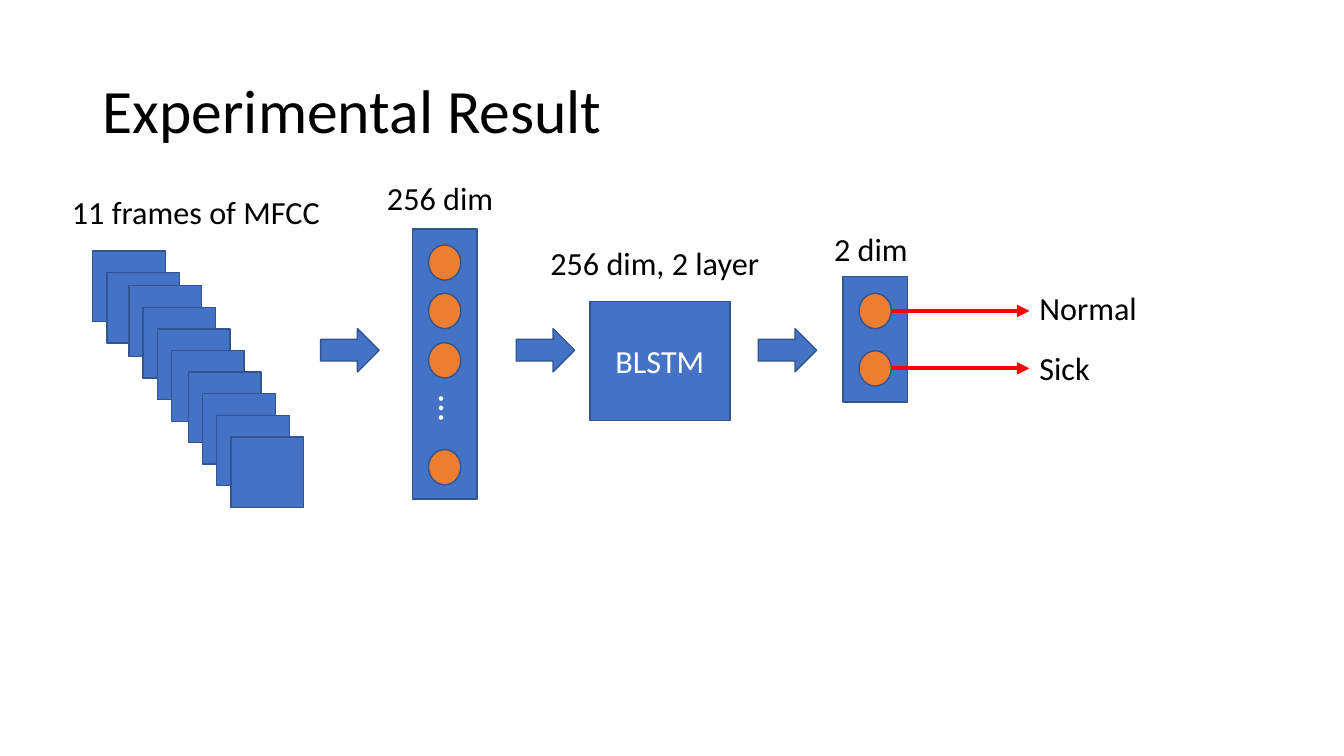
from collections import namedtuple
from dataclasses import dataclass
from itertools import accumulate

from lxml import etree
from pptx import Presentation
from pptx.dml.color import RGBColor
from pptx.enum.shapes import MSO_CONNECTOR, MSO_SHAPE
from pptx.enum.text import MSO_ANCHOR, MSO_AUTO_SIZE, PP_ALIGN
from pptx.oxml.ns import qn
from pptx.util import Inches, Pt

RECTANGLE, ELLIPSE, RIGHT_ARROW = MSO_SHAPE.RECTANGLE, MSO_SHAPE.OVAL, MSO_SHAPE.RIGHT_ARROW
STRAIGHT = MSO_CONNECTOR.STRAIGHT
MIDDLE, TOP = MSO_ANCHOR.MIDDLE, MSO_ANCHOR.TOP
LEFT, CENTER = PP_ALIGN.LEFT, PP_ALIGN.CENTER
FIT_TEXT, NO_FIT = MSO_AUTO_SIZE.SHAPE_TO_FIT_TEXT, MSO_AUTO_SIZE.NONE
TITLE_ONLY = 5


@dataclass(frozen=True)
class Theme:
    font: str = "Calibri"
    ink: RGBColor = RGBColor(0, 0, 0)
    paper: RGBColor = RGBColor(255, 255, 255)
    block: RGBColor = RGBColor(0x44, 0x72, 0xC4)
    outline: RGBColor = RGBColor(0x32, 0x54, 0x91)
    neuron: RGBColor = RGBColor(0xED, 0x7D, 0x31)
    signal: RGBColor = RGBColor(255, 0, 0)
    title: int = 44
    dots: int = 27
    label: int = 23
    outline_width: int = 1
    signal_width: int = 3


THEME = Theme()
Box = namedtuple("Box", "left top width height")
FRAME_COUNT = 10
FRAME_SIZE = (0.72, 0.7)
FRAME_STEP = (0.14, 0.215)
UNEVEN_STEPS = {2: (0.22, 0.13), 6: (0.17, 0.21)}
NEURON_SIZE = (0.32, 0.35)
ARROW_SIZE = (0.58, 0.43)
LABEL_HEIGHT = 0.49


def inches(box):
    return [Inches(value) for value in box]


def write(shape, text, size, color, align=LEFT, anchor=TOP, wrap=True, fit=NO_FIT):
    frame = shape.text_frame
    frame.text = text
    for name, value in {"word_wrap": wrap, "auto_size": fit, "vertical_anchor": anchor}.items():
        setattr(frame, name, value)
    paragraph = frame.paragraphs[0]
    paragraph.alignment = align
    font = paragraph.runs[0].font
    for name, value in {"name": THEME.font, "size": Pt(size)}.items():
        setattr(font, name, value)
    font.color.rgb = color
    return paragraph


def add_title(slide, text, box):
    title = slide.shapes.title
    for name, value in zip(Box._fields, inches(box)):
        setattr(title, name, value)
    write(title, text, THEME.title, THEME.ink, anchor=MIDDLE).line_spacing = 0.9


def add_label(slide, text, box, size=THEME.label, color=THEME.ink):
    label = slide.shapes.add_textbox(*inches(box))
    write(label, text, size, color, wrap=False, fit=FIT_TEXT)
    return label


def add_block(slide, kind, box, fill=THEME.block):
    block = slide.shapes.add_shape(kind, *inches(box))
    block.shadow.inherit = False
    block.fill.solid()
    block.fill.fore_color.rgb = fill
    block.line.color.rgb = THEME.outline
    block.line.width = Pt(THEME.outline_width)
    return block


def add_caption(slide, text, box, width, gap):
    """Centre a caption above the box; gap is the distance between their tops."""
    left = box.left + (box.width - width) / 2
    add_label(slide, text, Box(left, box.top - gap, width, LABEL_HEIGHT))


def add_frames(slide, box):
    """Stack the input frames from the box's top left corner towards its bottom right."""
    steps = [UNEVEN_STEPS.get(index, FRAME_STEP) for index in range(1, FRAME_COUNT)]
    lefts, tops = (accumulate(moves, initial=start)
                   for moves, start in zip(zip(*steps), (box.left, box.top)))
    for left, top in zip(lefts, tops):
        add_block(slide, RECTANGLE, Box(left, top, *FRAME_SIZE))
    add_caption(slide, "11 frames of MFCC", box, 2.69, 0.63)


def add_layer(slide, box, neuron_offsets):
    """Draw a layer with neurons at the given distances from its top; return their boxes."""
    add_block(slide, RECTANGLE, box)
    width, height = NEURON_SIZE
    left = box.left + (box.width - width) / 2
    neurons = [Box(left, box.top + offset, width, height) for offset in neuron_offsets]
    for neuron in neurons:
        add_block(slide, ELLIPSE, neuron, THEME.neuron)
    return neurons


def add_input_layer(slide, box):
    add_layer(slide, box, (0.16, 0.64, 1.13, 2.19))
    dots_box = Box(box.left + 0.18, box.top + 1.51, 0.46, 0.56)
    add_label(slide, "…", dots_box, THEME.dots, THEME.paper).rotation = 90
    add_caption(slide, "256 dim", box, 1.34, 0.55)


def add_recurrent_layer(slide, box):
    block = add_block(slide, RECTANGLE, box)
    write(block, "BLSTM", THEME.label, THEME.paper, CENTER, MIDDLE)
    add_caption(slide, "256 dim, 2 layer", box, 2.37, 0.63)


def add_signal(slide, start, end, height):
    signal = slide.shapes.add_connector(STRAIGHT, *inches((start, height, end, height)))
    signal.line.color.rgb = THEME.signal
    signal.line.width = Pt(THEME.signal_width)
    etree.SubElement(signal.line._get_or_add_ln(), qn("a:tailEnd"), type="triangle")
    etree.SubElement(signal._element.spPr, qn("a:effectLst"))


def add_output_layer(slide, box):
    neurons = add_layer(slide, box, (0.17, 0.74))
    add_caption(slide, "2 dim", box, 1.01, 0.51)
    end = box.left + 1.85
    outputs = (("Normal", 1.18, 0.07), ("Sick", 0.71, 0.67))
    for neuron, (text, width, offset) in zip(neurons, outputs):
        middle = neuron.top + neuron.height / 2
        add_signal(slide, neuron.left + neuron.width, end, middle)
        add_label(slide, text, Box(end, box.top + offset, width, LABEL_HEIGHT))


def add_network(slide, box):
    """Lay out the stages from left to right, with arrows between them."""
    stages = (
        (add_frames, Box(0.42, 0.77, 2.08, 2.54)),
        (add_input_layer, Box(3.59, 0.55, 0.64, 2.68)),
        (add_recurrent_layer, Box(5.35, 1.27, 1.39, 1.18)),
        (add_output_layer, Box(7.86, 1.02, 0.64, 1.25)),
    )
    for add_stage, area in stages:
        add_stage(slide, Box(box.left + area.left, box.top + area.top, area.width, area.height))
    for offset in (2.68, 4.62, 7.02):
        add_block(slide, RIGHT_ARROW, Box(box.left + offset, box.top + 1.54, *ARROW_SIZE))


def main():
    presentation = Presentation()
    presentation.slide_width, presentation.slide_height = Inches(13.33), Inches(7.5)
    slide = presentation.slides.add_slide(presentation.slide_layouts[TITLE_ONLY])
    add_title(slide, "Experimental Result", Box(0.92, 0.4, 11.5, 1.45))
    add_network(slide, Box(0.5, 1.72, 10.89, 3.31))
    presentation.save("out.pptx")


if __name__ == "__main__":
    main()
